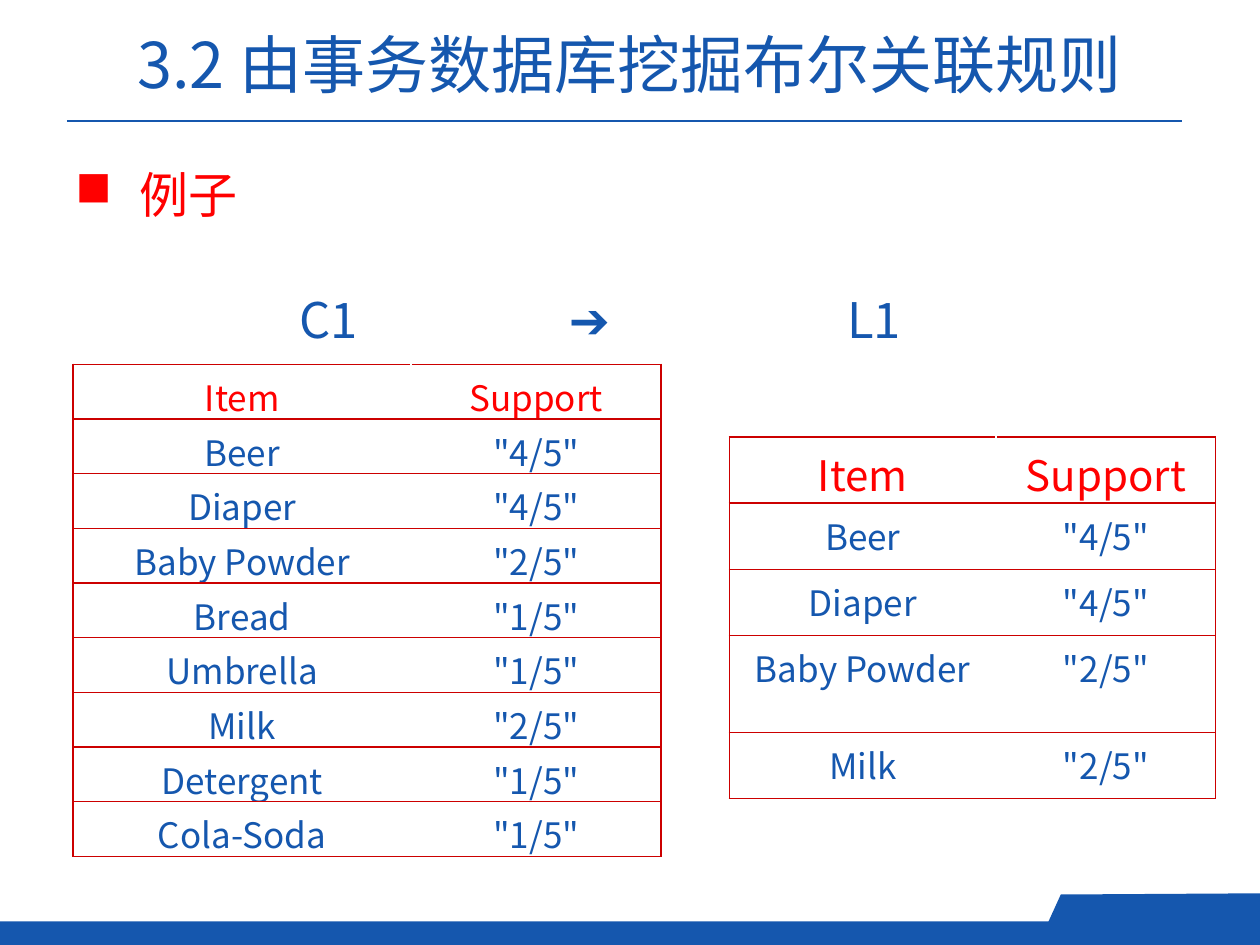
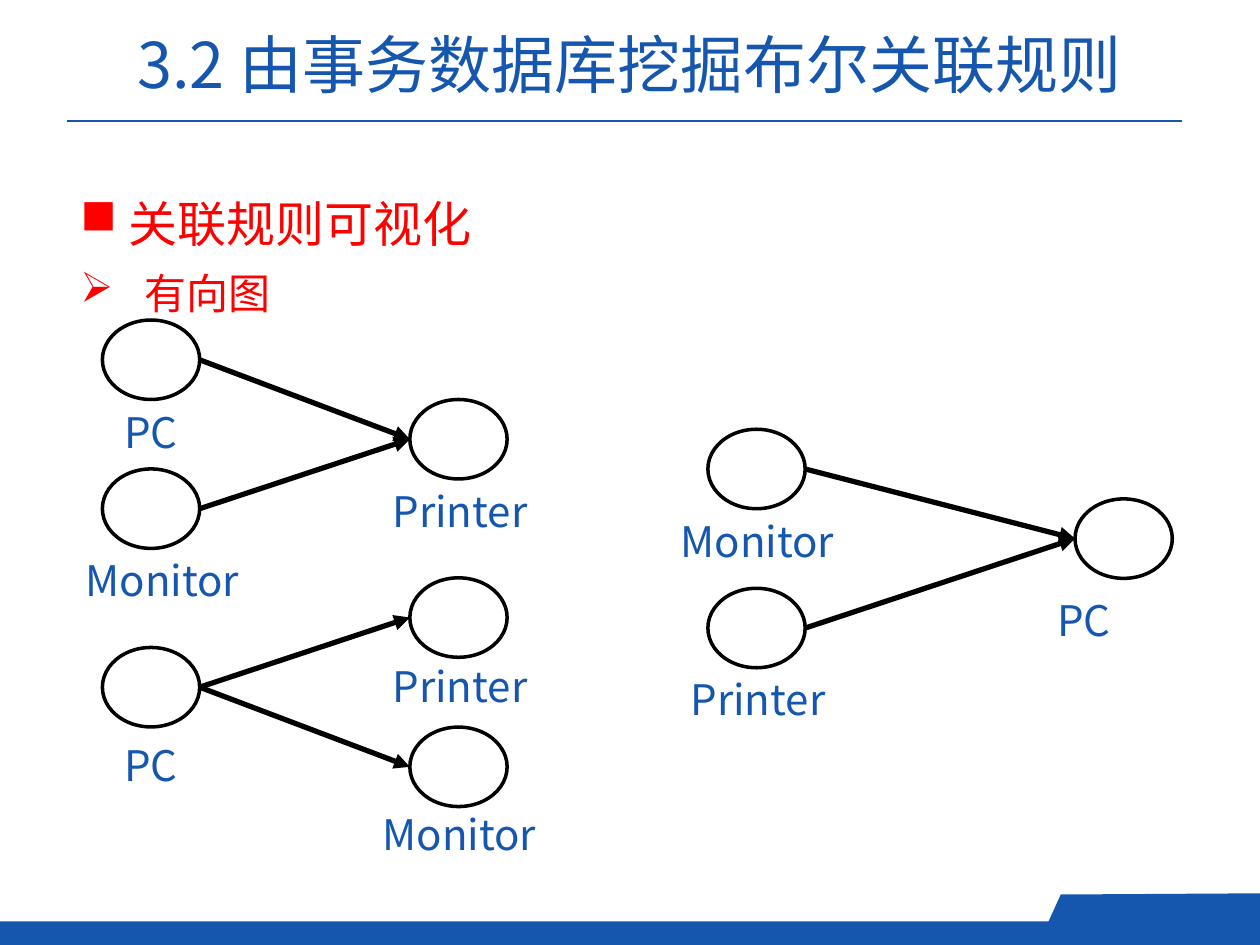
"""Build two slides on mining Boolean association rules."""
from lxml.etree import SubElement
from pptx import Presentation
from pptx.dml.color import RGBColor
from pptx.enum.shapes import MSO_CONNECTOR, MSO_SHAPE
from pptx.enum.text import MSO_ANCHOR, PP_ALIGN
from pptx.oxml.ns import qn
from pptx.util import Pt

COLORS = {"blue": "1557AE", "red": "FF0000", "border": "CC0000",
          "black": "000000", "white": "FFFFFF"}
FONT = "Noto Sans CJK SC"
TITLE = "3.2 由事务数据库挖掘布尔关联规则"
WIDTH, HEIGHT = 720, 540
NODE_WIDTH, NODE_HEIGHT = 55.6, 45.4

CANDIDATES = [("Item", "Support"), ("Beer", '"4/5"'), ("Diaper", '"4/5"'),
              ("Baby Powder", '"2/5"'), ("Bread", '"1/5"'),
              ("Umbrella", '"1/5"'), ("Milk", '"2/5"'),
              ("Detergent", '"1/5"'), ("Cola-Soda", '"1/5"')]
FREQUENT = [row for row in CANDIDATES if row[1] != '"1/5"']

NODES = {
    "pc_top": (58.5, 182.9, "PC", 64, 228.5),
    "monitor_top": (58.5, 268, "Monitor", 41.8, 313.5),
    "printer_top": (234.2, 228.3, "Printer", 217.2, 273.8),
    "pc_bottom": (58.5, 370, "PC", 64, 419),
    "printer_bottom": (234.2, 330.2, "Printer", 217.2, 374),
    "monitor_bottom": (234.2, 415.5, "Monitor", 211.5, 458.6),
    "monitor_right": (404.5, 245.3, "Monitor", 381.8, 291),
    "printer_right": (404.5, 336.2, "Printer", 387.5, 381.5),
    "pc_right": (614.3, 285.1, "PC", 597, 336.2),
}
EDGES = [("pc_top", "printer_top"), ("monitor_top", "printer_top"),
         ("pc_bottom", "printer_bottom"), ("pc_bottom", "monitor_bottom"),
         ("monitor_right", "pc_right"), ("printer_right", "pc_right")]


def rgb(name):
    return RGBColor.from_string(COLORS[name])


class Deck:
    """Hold the shared style and the current slide."""

    def __init__(self):
        self.presentation = Presentation()
        self.presentation.slide_width = Pt(WIDTH)
        self.presentation.slide_height = Pt(HEIGHT)
        self.slide = None

    def add_slide(self):
        self.slide = self.presentation.slides.add_slide(
            self.presentation.slide_layouts[6])
        self.line((38.2, 69.1), (675.4, 69.1), "blue", 1.5)
        bar = self.slide.shapes.add_shape(
            MSO_SHAPE.RECTANGLE, 0, Pt(526.5), Pt(WIDTH), Pt(13.5))
        builder = self.slide.shapes.build_freeform(Pt(WIDTH), Pt(536.4))
        builder.add_line_segments(
            [(Pt(x), Pt(y)) for x, y in
             [(WIDTH, 510.5), (606.2, 511.2), (594.7, 536.4)]])
        for shape in (bar, builder.convert_to_shape()):
            shape.shadow.inherit = False
            shape.fill.solid()
            shape.fill.fore_color.rgb = rgb("blue")
            shape.line.fill.background()
        title = self.text(19.4, -9.4, 680.4, 70.6)
        title.vertical_anchor = MSO_ANCHOR.BOTTOM
        self.fill_text(title.paragraphs[0], TITLE, 36, align=PP_ALIGN.CENTER)

    def text(self, left, top, width, height):
        box = self.slide.shapes.add_textbox(
            Pt(left), Pt(top), Pt(width), Pt(height))
        box.text_frame.word_wrap = True
        return box.text_frame

    def fill_text(self, paragraph, text, size, color="blue",
                  align=PP_ALIGN.LEFT):
        paragraph.text = text
        paragraph.alignment = align
        font = paragraph.font
        font.size, font.name = Pt(size), FONT
        font.color.rgb = rgb(color)
        SubElement(font._element, qn("a:ea"), typeface=FONT)

    def bullet(self, paragraph, text, size, mark, indent, spacing):
        properties = paragraph._p.get_or_add_pPr()
        properties.set("marL", str(Pt(indent)))
        properties.set("indent", str(-Pt(indent)))
        SubElement(properties, qn("a:buFont"), typeface="Wingdings", charset="2")
        SubElement(properties, qn("a:buChar"), char=mark)
        paragraph.line_spacing = spacing
        self.fill_text(paragraph, text, size, "red")

    def tabbed(self, paragraph, texts, stops, size):
        tabs = SubElement(paragraph._p.get_or_add_pPr(), qn("a:tabLst"))
        for stop in stops:
            SubElement(tabs, qn("a:tab"), pos=str(Pt(stop)), algn="l")
        self.fill_text(paragraph, "".join("\t" + text for text in texts), size)

    def line(self, start, end, color, weight, arrow=False):
        connector = self.slide.shapes.add_connector(
            MSO_CONNECTOR.STRAIGHT, *(Pt(value) for value in start + end))
        connector.line.width = Pt(weight)
        connector.line.color.rgb = rgb(color)
        if arrow:
            SubElement(connector.line._get_or_add_ln(), qn("a:tailEnd"),
                       type="triangle")
        SubElement(connector._element.spPr, qn("a:effectLst"))

    def node(self, left, top, label, label_left, label_top):
        shape = self.slide.shapes.add_shape(
            MSO_SHAPE.FLOWCHART_CONNECTOR, Pt(left), Pt(top),
            Pt(NODE_WIDTH), Pt(NODE_HEIGHT))
        shape.shadow.inherit = False
        shape.fill.background()
        shape.line.color.rgb = rgb("black")
        shape.line.width = Pt(2)
        frame = self.text(label_left, label_top, 120, 36)
        self.fill_text(frame.paragraphs[0], label, 24)

    def edge(self, source, target):
        middle = NODE_HEIGHT / 2
        self.line((source[0] + NODE_WIDTH, source[1] + middle),
                  (target[0], target[1] + middle), "black", 3, arrow=True)

    def border(self, cell, sides):
        properties = cell._tc.get_or_add_tcPr()
        for side in sides:
            line = SubElement(properties, qn("a:ln" + side), w=str(Pt(1)))
            fill = SubElement(line, qn("a:solidFill"))
            SubElement(fill, qn("a:srgbClr"), val=COLORS["border"])

    def table(self, left, top, widths, heights, rows, header_size):
        table = self.slide.shapes.add_table(
            len(rows), len(widths), Pt(left), Pt(top),
            Pt(sum(widths)), Pt(sum(heights))).table
        table.first_row = table.horz_banding = False
        for column, width in zip(table.columns, widths):
            column.width = Pt(width)
        for row_index, (texts, height) in enumerate(zip(rows, heights)):
            table.rows[row_index].height = Pt(height)
            size, color = (20, "blue") if row_index else (header_size, "red")
            for column_index, text in enumerate(texts):
                cell = table.cell(row_index, column_index)
                self.border(cell, "RTB" if column_index else "LTB")
                cell.fill.solid()
                cell.fill.fore_color.rgb = rgb("white")
                self.fill_text(cell.text_frame.paragraphs[0], text, size,
                               color, PP_ALIGN.CENTER)


def add_example(deck):
    deck.add_slide()
    heading = deck.text(36, 94.3, 357.8, 59)
    deck.bullet(heading.paragraphs[0], "例子", 28, "n", 36.7, 0.9)
    labels = deck.text(72, 162, 638.6, 293.8)
    deck.tabbed(labels.paragraphs[0], ["C1", "➔", "L1"], [92, 246, 405], 28)
    deck.table(41.8, 208.2, [193.2, 142.8], [31.25] * len(CANDIDATES),
               CANDIDATES, 20)
    deck.table(416.8, 249.6, [152.4, 125.5], [37.9, 37.9, 37.9, 55.2, 37.9],
               FREQUENT, 24)


def add_graphs(deck):
    deck.add_slide()
    body = deck.text(38.9, 100.1, 658, 336.2)
    deck.bullet(body.paragraphs[0], "关联规则可视化", 28, "n", 27.4, 1.2)
    graph_kind = body.add_paragraph()
    deck.bullet(graph_kind, "有向图", 24, "Ø", 36.7, 1.1)
    graph_kind.space_before = Pt(6)
    for node in NODES.values():
        deck.node(*node)
    for source, target in EDGES:
        deck.edge(NODES[source], NODES[target])


def main():
    deck = Deck()
    add_example(deck)
    add_graphs(deck)
    deck.presentation.save("out.pptx")


if __name__ == "__main__":
    main()
